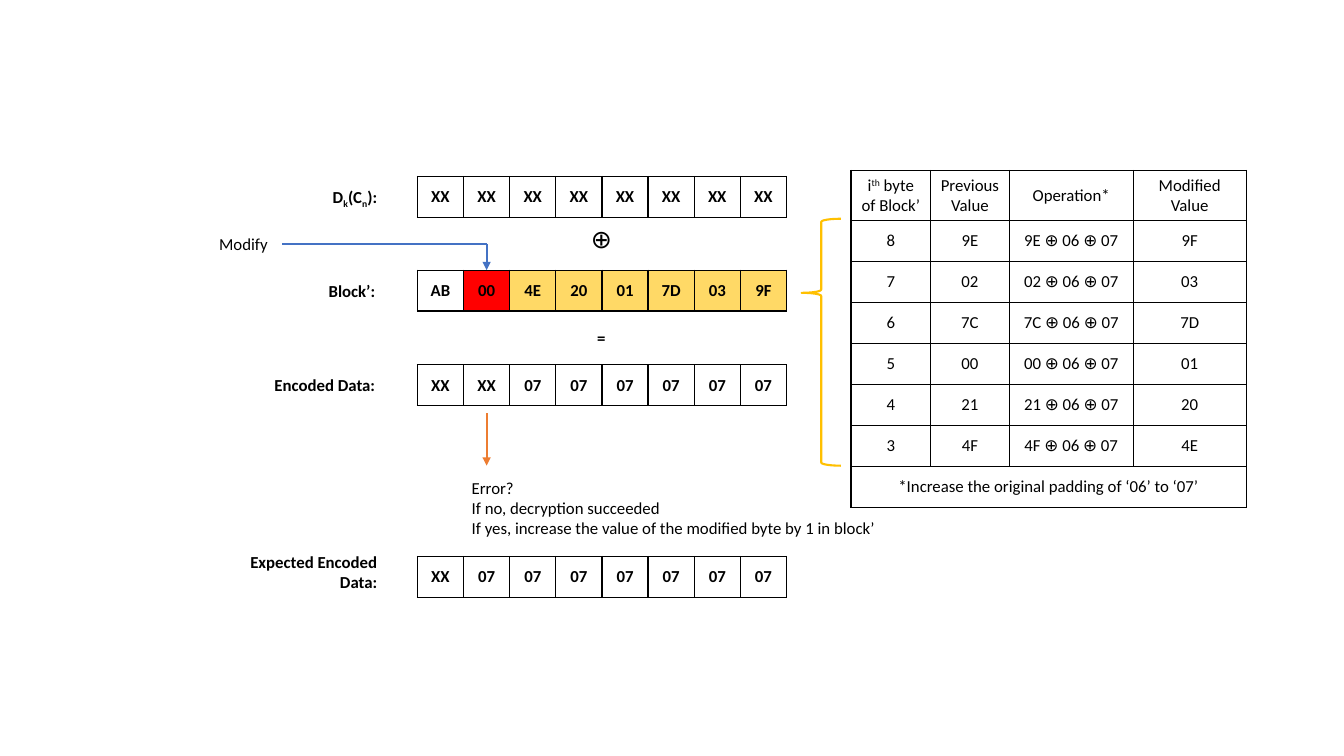
"""Build a slide on changing the padding bytes of a cipher block from 06 to 07."""
from lxml import etree
from pptx import Presentation
from pptx.dml.color import RGBColor
from pptx.enum.shapes import MSO_CONNECTOR, MSO_SHAPE
from pptx.enum.text import MSO_ANCHOR, PP_ALIGN
from pptx.oxml import parse_xml
from pptx.oxml.ns import nsdecls, qn
from pptx.util import Inches, Pt

LEFT, CENTER, RIGHT = PP_ALIGN.LEFT, PP_ALIGN.CENTER, PP_ALIGN.RIGHT
MIDDLE = MSO_ANCHOR.MIDDLE
STRAIGHT = MSO_CONNECTOR.STRAIGHT
LEFT_BRACE = MSO_SHAPE.LEFT_BRACE

COLORS = {
    "black": "000000", "white": "FFFFFF", "red": "FF0000", "yellow": "FFD966",
    "blue": "4472C4", "orange": "ED7D31", "gold": "FFC000",
}
BLOCK_LEFT, BYTE_WIDTH, ROW_HEIGHT = 4.14, 3.66 / 8, 0.406
MODIFIED_X = BLOCK_LEFT + 1.5 * BYTE_WIDTH
MODIFY_Y, BLOCK_TOP = 2.42, 2.68


def write_text(text_frame, text, alignment, bold=False, size=12, shift=0):
    """Write text; every second part between bars is raised or lowered by shift."""
    first, *others = text.split("|")
    text_frame.text = first
    for part in others:
        text_frame.paragraphs[0].add_run().text = part
    for paragraph in text_frame.paragraphs:
        paragraph.alignment = alignment
        for index, run in enumerate(paragraph.runs):
            run.font.name = "Calibri"
            run.font.size = Pt(size)
            run.font.bold = bold
            run.font.color.rgb = RGBColor.from_string(COLORS["black"])
            if others and index % 2:
                run.font._element.set("baseline", str(shift))


def add_grid(left, top, widths, heights, rows, fills, bold):
    """Add a black-ruled table and return it; a fill of None stays clear."""
    table = slide.shapes.add_table(
        len(rows), len(widths), Inches(left), Inches(top),
        Inches(sum(widths)), Inches(sum(heights))).table
    table.first_row = table.horz_banding = False
    for column, width in zip(table.columns, widths):
        column.width = Inches(width)
    for row, height in zip(table.rows, heights):
        row.height = Inches(height)
    for row_index, texts in enumerate(rows):
        for column_index, text in enumerate(texts):
            cell = table.cell(row_index, column_index)
            cell.vertical_anchor = MIDDLE
            write_text(cell.text_frame, text, CENTER, bold, shift=30000)
            for side in ("lnL", "lnR", "lnT", "lnB"):
                cell._tc.get_or_add_tcPr().append(parse_xml(
                    f'<a:{side} {nsdecls("a")} w="12700"><a:solidFill>'
                    f'<a:srgbClr val="{COLORS["black"]}"/></a:solidFill></a:{side}>'))
            fill = fills[column_index]
            if fill:
                cell.fill.solid()
                cell.fill.fore_color.rgb = RGBColor.from_string(COLORS[fill])
            else:
                cell.fill.background()
    return table


presentation = Presentation()
presentation.slide_width, presentation.slide_height = Inches(13.33), Inches(7.5)
slide = presentation.slides.add_slide(presentation.slide_layouts[6])

clear = [None] * 8
byte_rows = [
    (1.75, ["XX"] * 8, clear),
    (BLOCK_TOP, "AB 00 4E 20 01 7D 03 9F".split(), [None, "red"] + ["yellow"] * 6),
    (3.62, ["XX"] * 2 + ["07"] * 6, clear),
    (5.52, ["XX"] + ["07"] * 7, clear),
]
for top, values, fills in byte_rows:
    add_grid(BLOCK_LEFT, top, [BYTE_WIDTH] * 8, [ROW_HEIGHT], [values], fills, True)

labels = [
    (3.07, 1.8, 0.77, 0.3, "D|k|(C|n|):", RIGHT, True, 12),
    (3.05, 2.74, 0.77, 0.3, "Block’:", RIGHT, True, 12),
    (2.42, 3.67, 1.4, 0.3, "Encoded Data:", RIGHT, True, 12),
    (2.05, 5.42, 1.79, 0.5, "Expected Encoded Data:", RIGHT, True, 12),
    (5.58, 3.2, 0.77, 0.3, "=", CENTER, True, 12),
    (5.58, 2.17, 0.77, 0.4, "⊕", CENTER, False, 18),
    (2.03, 2.27, 0.77, 0.3, "Modify", CENTER, False, 12),
    (4.58, 4.69, 4.3, 0.71,
     "Error?\vIf no, decryption succeeded\n"
     "If yes, increase the value of the modified byte by 1 in block’", LEFT, False, 12),
]
for left, top, width, height, text, alignment, bold, size in labels:
    label = slide.shapes.add_textbox(
        Inches(left), Inches(top), Inches(width), Inches(height))
    label.text_frame.word_wrap = True
    write_text(label.text_frame, text, alignment, bold, size, shift=-25000)

changes = [("9E", "9F"), ("02", "03"), ("7C", "7D"), ("00", "01"), ("21", "20"), ("4F", "4E")]
operation_rows = [["i|th| byte of Block’", "Previous Value", "Operation*", "Modified Value"]]
for position, (previous, modified) in zip(range(8, 2, -1), changes):
    operation_rows.append([str(position), previous, f"{previous} ⊕ 06 ⊕ 07", modified])
operation_rows.append(["*Increase the original padding of ‘06’ to ‘07’", "", "", ""])
operations = add_grid(8.44, 1.69, [0.79, 0.78, 1.23, 1.12], [0.5] + [ROW_HEIGHT] * 7,
                      operation_rows, ["white"] * 4, False)
operations.cell(7, 0).merge(operations.cell(7, 3))

lines = [
    (MODIFIED_X, 4.1, MODIFIED_X, 4.62, "orange", True),
    (MODIFIED_X, MODIFY_Y, MODIFIED_X, BLOCK_TOP, "blue", True),
    (2.8, MODIFY_Y, MODIFIED_X, MODIFY_Y, "blue", False),
]
for start_x, start_y, end_x, end_y, color, has_arrow in lines:
    connector = slide.shapes.add_connector(
        STRAIGHT, Inches(start_x), Inches(start_y), Inches(end_x), Inches(end_y))
    connector.line.color.rgb = RGBColor.from_string(COLORS[color])
    connector.line.width = Pt(1.5)
    if has_arrow:
        etree.SubElement(connector.line._get_or_add_ln(), qn("a:tailEnd"), type="triangle")
    etree.SubElement(connector._element.spPr, qn("a:effectLst"))

brace = slide.shapes.add_shape(
    LEFT_BRACE, Inches(7.95), Inches(2.17), Inches(0.39), Inches(2.45))
brace.adjustments[0], brace.adjustments[1] = 0.08, 0.3
brace.shadow.inherit = False
brace.fill.background()
brace.line.color.rgb = RGBColor.from_string(COLORS["gold"])
brace.line.width = Pt(1.5)

presentation.save("out.pptx")
